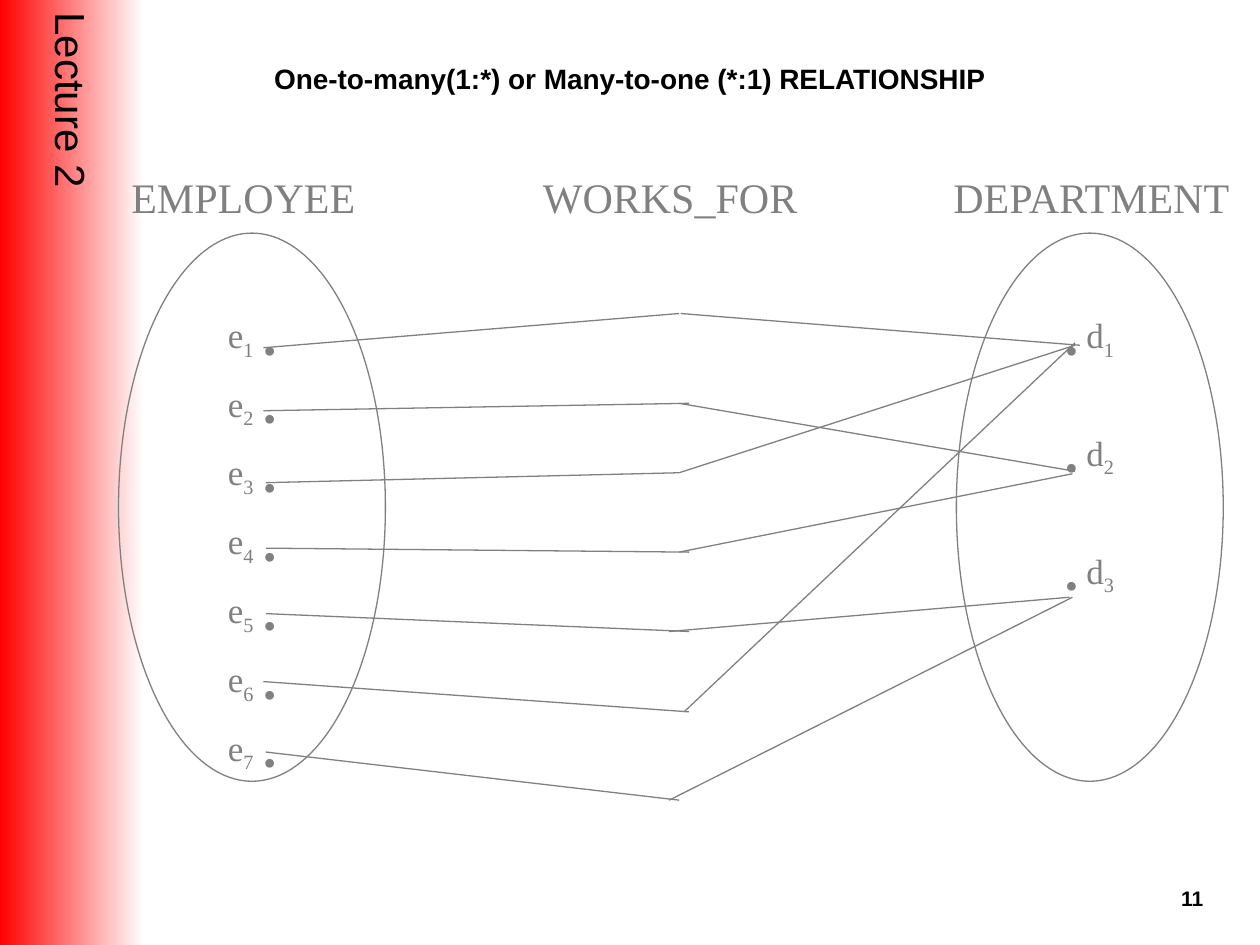
from lxml import etree
from pptx import Presentation
from pptx.dml.color import RGBColor
from pptx.enum import shapes, text
from pptx.oxml.ns import qn
from pptx.util import Cm, Pt

COLORS = {"red": "FF0000", "white": "FFFFFF", "black": "000000", "gray": "808080"}
SANS, SERIF = "Arial", "Times New Roman"
LEFT, CENTER, RIGHT = text.PP_ALIGN.LEFT, text.PP_ALIGN.CENTER, text.PP_ALIGN.RIGHT

BLACK_TEXT = {"name": SANS, "color": "black"}
GRAY_TEXT = {"name": SERIF, "color": "gray"}
SUB = True  # marks a subscript run

# text, (left, top, width, height) in cm, alignment, font, frame settings
LABELS = [
    ("11", (22.91, 17.73, 1.6, 1.32), RIGHT,
     {**BLACK_TEXT, "size": Pt(12), "bold": True}, {"word_wrap": True}),
    ("One-to-many(1:*) or Many-to-one (*:1) RELATIONSHIP", (0, 1.24, 25.4, 0.81), CENTER,
     {**BLACK_TEXT, "size": Pt(16), "bold": True},
     {"word_wrap": True, "margin_top": 0, "vertical_anchor": text.MSO_ANCHOR.MIDDLE}),
]
HEADINGS = [("EMPLOYEE", 2.39, 5.03), ("WORKS_FOR", 10.69, 5.64), ("DEPARTMENT", 18.9, 6.2)]
HEADING_TOP, HEADING_HEIGHT = 3.33, 1.27

# ellipse left in cm, space around each member in points, members as runs
SETS = [
    (2.39, 6, [[("e", not SUB), (f"{i}  ●", SUB)] for i in range(1, 8)]),
    (19.28, 20, [[("●", SUB), (" d", not SUB), (str(i), SUB)] for i in range(1, 4)]),
]
SET_TOP, SET_WIDTH, SET_HEIGHT = 4.7, 5.38, 11.05

# employee point, x where the first half ends, height of the bend,
# x where the second half starts, department point (all cm)
WORKS_FOR = [
    ((5.31, 7.01), 13.69, 6.32, 13.72, (21.77, 6.96)),
    ((5.31, 8.28), 13.89, 8.13, 13.69, (21.67, 9.5)),
    ((5.36, 9.73), 13.69, 9.53, 13.69, (21.67, 6.96)),
    ((5.36, 11.05), 13.89, 11.13, 13.69, (21.62, 9.55)),
    ((5.36, 12.37), 13.89, 12.73, 13.49, (21.56, 12.04)),
    ((5.31, 13.74), 13.89, 14.35, 13.79, (21.67, 6.91)),
    ((5.36, 15.16), 13.69, 16.13, 13.49, (21.62, 12.04)),
]


def rgb(name):
    return RGBColor.from_string(COLORS[name])


def set_all(obj, values):
    for name, value in values.items():
        setattr(obj, name, value)


def add_run(p, words, font, subscript=False):
    r = p.add_run()
    r.text = words
    set_all(r.font, {k: v for k, v in font.items() if k != "color"})
    r.font.color.rgb = rgb(font["color"])
    if subscript:
        r.font._element.set("baseline", "-25000")


def add_label(slide, words, box, align, font, frame):
    tf = slide.shapes.add_textbox(*map(Cm, box)).text_frame
    set_all(tf, frame)
    p = tf.paragraphs[0]
    p.alignment = align
    add_run(p, words, font)


def add_side_band(slide):
    sp = slide.shapes.add_shape(shapes.MSO_SHAPE.RECTANGLE, 0, 0, Cm(2.9), Cm(19.05))
    sp.shadow.inherit = False
    sp.line.fill.background()
    sp.fill.gradient()
    sp.fill.gradient_angle = 0
    for stop, name, position in zip(sp.fill.gradient_stops, ("red", "white"), (0, 1)):
        stop.color.rgb = rgb(name)
        stop.position = position
    tf = sp.text_frame
    set_all(tf, {"word_wrap": False, "vertical_anchor": text.MSO_ANCHOR.MIDDLE})
    sp.element.txBody.find(qn("a:bodyPr")).set("vert", "eaVert")
    p = tf.paragraphs[0]
    p.alignment = CENTER
    add_run(p, "Lecture 2", {**BLACK_TEXT, "size": Pt(24)})


def style_line(line):
    line.color.rgb = rgb("gray")
    line.width = Pt(0.75)


def add_line(slide, start, end):
    line = slide.shapes.add_connector(
        shapes.MSO_CONNECTOR.STRAIGHT, *map(Cm, (*start, *end)))
    style_line(line.line)
    etree.SubElement(line.element.spPr, qn("a:effectLst"))


def add_entity_set(slide, left, space, members):
    sp = slide.shapes.add_shape(
        shapes.MSO_SHAPE.OVAL, *map(Cm, (left, SET_TOP, SET_WIDTH, SET_HEIGHT)))
    sp.shadow.inherit = False
    sp.fill.background()
    style_line(sp.line)
    tf = sp.text_frame
    set_all(tf, {"word_wrap": False, "vertical_anchor": text.MSO_ANCHOR.TOP,
                 "margin_top": 0, "margin_bottom": 0})
    for i, runs in enumerate(members):
        p = tf.add_paragraph() if i else tf.paragraphs[0]
        set_all(p, {"alignment": CENTER, "space_before": Pt(space), "space_after": Pt(space)})
        for words, subscript in runs:
            add_run(p, words, {**GRAY_TEXT, "size": Pt(20)}, subscript)


def main():
    prs = Presentation()
    prs.slide_width, prs.slide_height = Cm(25.4), Cm(19.05)
    slide = prs.slides.add_slide(prs.slide_layouts[6])

    add_side_band(slide)
    for label in LABELS:
        add_label(slide, *label)
    for employee, first_end, bend, second_start, department in WORKS_FOR:
        add_line(slide, employee, (first_end, bend))
        add_line(slide, (second_start, bend), department)
    for entity_set in SETS:
        add_entity_set(slide, *entity_set)
    for words, left, width in HEADINGS:
        add_label(slide, words, (left, HEADING_TOP, width, HEADING_HEIGHT), CENTER,
                  {**GRAY_TEXT, "size": Pt(24)}, {"word_wrap": False})

    prs.save("out.pptx")


if __name__ == "__main__":
    main()
